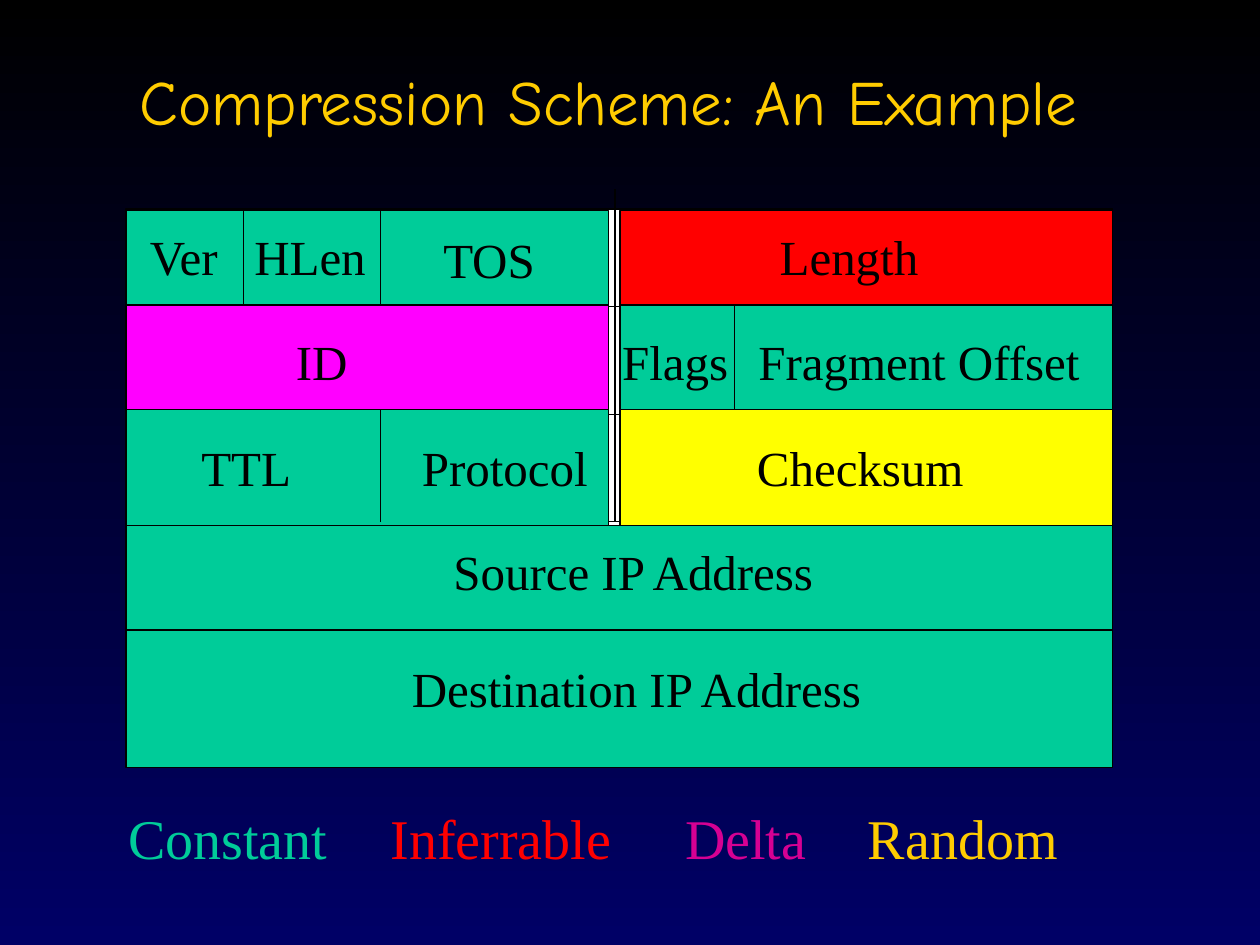
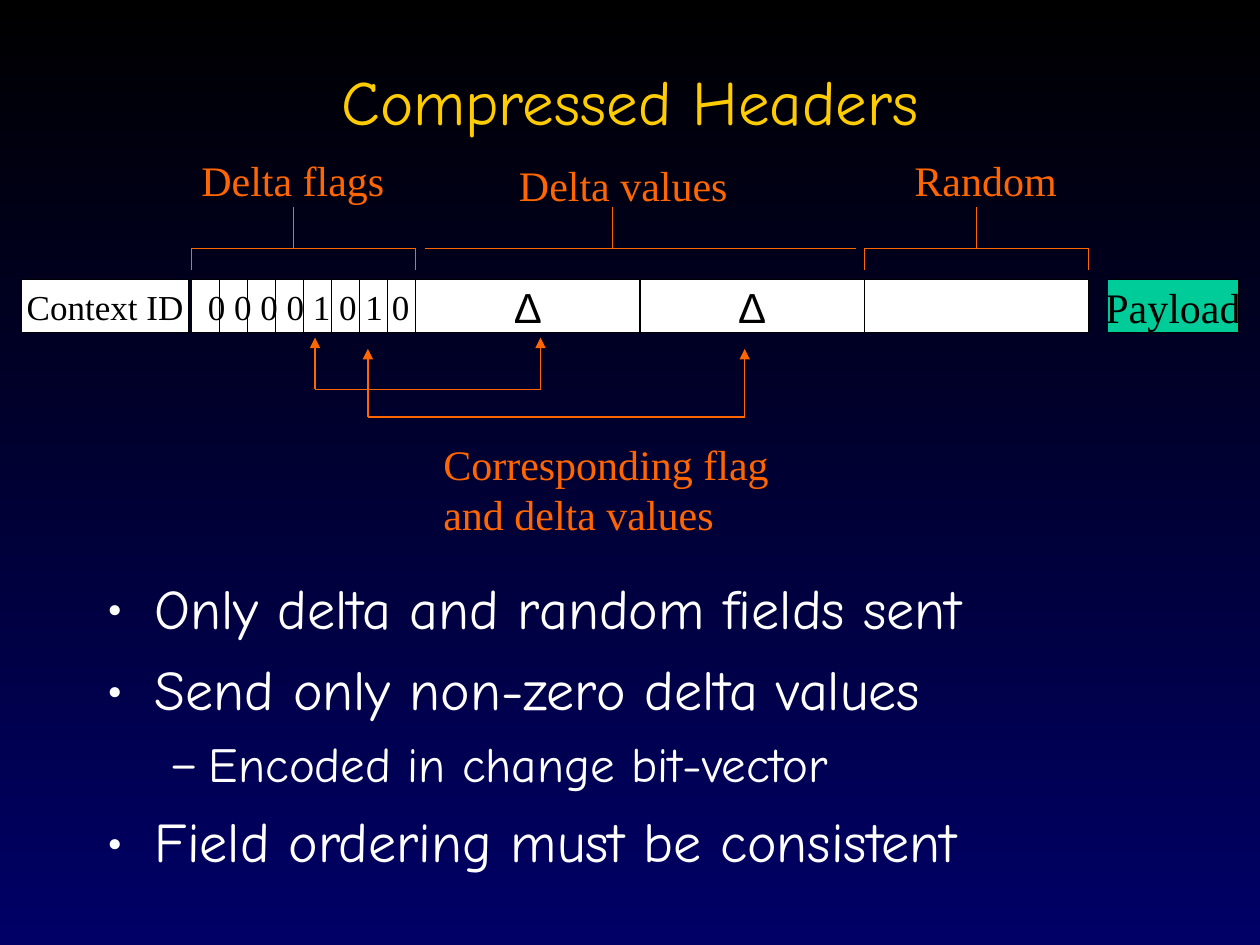
import pptx
import pptx.util
import pptx.dml.color
import pptx.enum.shapes
import pptx.enum.text
import pptx.oxml
import pptx.oxml.ns

Inches, Pt = pptx.util.Inches, pptx.util.Pt
RGB = pptx.dml.color.RGBColor
SHAPE = pptx.enum.shapes.MSO_SHAPE
ALIGN = pptx.enum.text.PP_ALIGN
ANCHOR = pptx.enum.text.MSO_ANCHOR

BLACK, NAVY, WHITE = RGB(0, 0, 0), RGB(0, 0, 0x66), RGB(255, 255, 255)
GOLD, ORANGE = RGB(255, 0xCC, 0), RGB(255, 0x66, 0)
GREEN, RED = RGB(0, 0xCC, 0x99), RGB(255, 0, 0)
MAGENTA, PINK, YELLOW = RGB(255, 0, 255), RGB(0xD6, 0, 0x93), RGB(255, 255, 0)
SERIF, ROUND, SANS = "Times New Roman", "Comic Neue", "Arial"
SLACK = 0.1  # spare label width, so that no label breaks

# IP header: edges of the table, the gap between its halves, the row borders
LEFT, RIGHT = 1, 8.83
LEFT_END, RIGHT_START = 4.83, 4.92
ROWS = [1.67, 2.42, 3.25, 4.17]
RULES = [2.43, 3.29, 4.14, 5]
HALF_FILLS = [(GREEN, RED), (MAGENTA, GREEN), (GREEN, YELLOW)]
DIVIDERS = [(1.93, 0), (3.02, 0), (5.83, 1), (3.02, 2)]  # x, row
FIELDS = [  # text, left, top, width
    ("Ver", 1.09, 1.75, 0.78), ("HLen", 1.92, 1.75, 1.08),
    ("TOS", 3.42, 1.77, 0.93), ("Length", 6.09, 1.75, 1.3),
    ("ID", 2.25, 2.58, 0.61), ("Flags", 4.84, 2.58, 1.04),
    ("Fragment Offset", 5.92, 2.58, 2.75),
    ("TTL", 1.5, 3.42, 0.91), ("Protocol", 3.25, 3.42, 1.51),
    ("Checksum", 5.91, 3.42, 1.84),
    ("Source IP Address", 3.5, 4.25, 3.09),
    ("Destination IP Address", 3.17, 5.18, 3.8),
]
LEGEND = [  # text, left, width, colour
    ("Constant", 0.92, 1.78, GREEN), ("Inferrable", 3, 1.95, RED),
    ("Delta", 5.34, 1.16, PINK), ("Random", 6.79, 1.71, GOLD),
]

# Compressed header: four equal fields in one strip, the first split into bits
STRIP_LEFT, STRIP_TOP, STRIP_H, FIELD_W = 1.52, 2.22, 0.42, 1.78
BITS = 8
STRIP = [
    ("0 0 0 0 1 0 1 0", dict(size=20, align=ALIGN.RIGHT, right=0.05)),
    ("Δ", dict(size=24, font=SANS)), ("Δ", dict(size=24, font=SANS)), ("", {}),
]
BRACKET_Y, STEM_TOP, TICK_END = 1.97, 1.64, 2.14
BRACKETS = [  # label, left, top, width, bracket from, to, stem, ticks
    ("Delta flags", 1.5, 1.18, 1.65, 1.52, 3.3, 2.33, True),
    ("Delta values", 4.02, 1.22, 1.85, 3.37, 6.79, 4.86, False),
    ("Random", 7.16, 1.18, 1.33, 6.86, 8.64, 7.75, True),
]
LINKS = [(2.5, 4.29, 2.68, 3.09), (2.92, 5.91, 2.77, 3.31)]  # flag, value, tip, base
BULLETS = [
    (0, "Only delta and random fields sent"),
    (0, "Send only non-zero delta values"),
    (1, "Encoded in change bit-vector"),
    (0, "Field ordering must be consistent"),
]
LEVELS = [  # mark, size, indent, hanging, space before
    ("•", 32, 0.38, 0.38, 8), ("–", 28, 0.81, 0.31, 7),
]


def put_text(sp, text, size=28, color=BLACK, font=SERIF, align=ALIGN.LEFT,
             anchor=ANCHOR.TOP, wrap=True, right=0.1):
    """Fill a shape with text, one paragraph a line."""
    tf = sp.text_frame
    tf.word_wrap, tf.vertical_anchor = wrap, anchor
    tf.margin_right = Inches(right)
    for i, line in enumerate(text.split("\n")):
        p = tf.add_paragraph() if i else tf.paragraphs[0]
        p.alignment = align
        r = p.add_run()
        r.text = line
        r.font.size, r.font.name, r.font.color.rgb = Pt(size), font, color
    return tf


def add_text(s, text, x, y, w, h, **fmt):
    sp = s.shapes.add_textbox(*map(Inches, (x, y, w, h)))
    return put_text(sp, text, **fmt)


def add_label(s, text, x, y, w, h, **fmt):
    add_text(s, text, x, y, w + SLACK, h, **fmt)


def add_box(s, x, y, w, h, fill, text="", kind=SHAPE.RECTANGLE, **fmt):
    sp = s.shapes.add_shape(kind, *map(Inches, (x, y, w, h)))
    sp.shadow.inherit = False
    sp.fill.solid()
    sp.fill.fore_color.rgb = fill
    sp.line.color.rgb, sp.line.width = BLACK, Pt(0.75)
    if text:
        centred = dict(align=ALIGN.CENTER, anchor=ANCHOR.MIDDLE, wrap=False)
        put_text(sp, text, **{**centred, **fmt})


def add_child(parent, tag, **attrs):
    child = pptx.oxml.parse_xml(f"<{tag} {pptx.oxml.ns.nsdecls('a')}/>")
    for key, value in attrs.items():
        child.set(key, value)
    parent.append(child)
    return child


def add_line(s, x1, y1, x2, y2, color=BLACK, arrow=False):
    c = s.shapes.add_connector(pptx.enum.shapes.MSO_CONNECTOR.STRAIGHT,
                               *map(Inches, (x1, y1, x2, y2)))
    c.line.color.rgb, c.line.width = color, Pt(0.75)
    if arrow:
        add_child(c.line._get_or_add_ln(), "a:tailEnd", type="triangle")
    add_child(c._element.spPr, "a:effectLst")


def new_slide(prs, title, x):
    s = prs.slides.add_slide(prs.slide_layouts[6])
    fill = s.background.fill
    fill.gradient()
    fill.gradient_angle = 270
    for stop, color in zip(fill.gradient_stops, (BLACK, NAVY)):
        stop.color.rgb = color
    add_text(s, title, x, 0.17, 8.5, 1.25, size=36, color=GOLD, font=ROUND,
             align=ALIGN.CENTER, anchor=ANCHOR.MIDDLE)
    return s


def add_bullets(s, items, x, y, w, h):
    tf = add_text(s, "\n".join(text for _, text in items), x, y, w, h,
                  color=WHITE, font=ROUND)
    for i, (p, (level, _)) in enumerate(zip(tf.paragraphs, items)):
        mark, size, indent, hanging, before = LEVELS[level]
        pPr = p._p.get_or_add_pPr()
        pPr.set("marL", str(Inches(indent)))
        pPr.set("indent", str(-Inches(hanging)))
        add_child(add_child(pPr, "a:buClr"), "a:srgbClr", val=str(WHITE))
        add_child(pPr, "a:buFont", typeface=ROUND)
        add_child(pPr, "a:buChar", char=mark)
        p.level = level
        p.runs[0].font.size = Pt(size)
        if i:
            p.space_before = Pt(before)


def build_example(prs):
    s = new_slide(prs, "Compression Scheme: An Example", 0.58)
    add_box(s, LEFT, 1.66, RIGHT - LEFT, 4.42, WHITE)
    add_box(s, LEFT, ROWS[-1], RIGHT - LEFT, 1.92, GREEN)
    for y in RULES:
        add_line(s, LEFT, y, RIGHT, y)
    add_line(s, 4.88, 1.5, 4.88, 4.14)
    for top, bottom, fills in zip(ROWS, ROWS[1:], HALF_FILLS):
        add_box(s, LEFT, top, LEFT_END - LEFT, bottom - top, fills[0])
        add_box(s, RIGHT_START, top, RIGHT - RIGHT_START, bottom - top, fills[1])
    for x, row in DIVIDERS:
        add_line(s, x, ROWS[row], x, min(ROWS[row + 1], RULES[row]))
    for text, x, y, w in FIELDS:
        add_label(s, text, x, y, w, 0.57)
    for text, x, w, color in LEGEND:
        add_label(s, text, x, 6.33, w, 0.64, size=32, color=color)


def build_headers(prs):
    s = new_slide(prs, "Compressed Headers", 0.75)
    add_bullets(s, BULLETS, 0.75, 4.5, 8.5, 2.67)

    for i, (text, fmt) in enumerate(STRIP):
        add_box(s, STRIP_LEFT + i * FIELD_W, STRIP_TOP, FIELD_W, STRIP_H,
                WHITE, text, **fmt)
    for bit in range(1, BITS):
        x = STRIP_LEFT + bit * FIELD_W / BITS
        add_line(s, x, STRIP_TOP, x, STRIP_TOP + STRIP_H)
    add_box(s, 0.17, STRIP_TOP, 1.33, STRIP_H, WHITE, "Context ID", size=20)
    add_box(s, 8.79, STRIP_TOP, 1.04, STRIP_H, GREEN, "Payload", size=24,
            kind=SHAPE.FLOWCHART_PROCESS)

    for text, x, y, w, start, end, stem, ticks in BRACKETS:
        add_line(s, start, BRACKET_Y, end, BRACKET_Y, ORANGE)
        add_line(s, stem, BRACKET_Y, stem, STEM_TOP, ORANGE)
        for tick in (start, end) if ticks else ():
            add_line(s, tick, TICK_END, tick, BRACKET_Y, ORANGE)
        add_label(s, text, x, y, w, 0.5, size=24, color=ORANGE)

    for flag, value, tip, base in LINKS:
        add_line(s, flag, base, value, base, ORANGE)
        for x in (flag, value):
            add_line(s, x, base, x, tip, ORANGE, arrow=True)
    add_label(s, "Corresponding flag\nand delta values", 3.42, 3.43, 2.78, 0.9,
              size=24, color=ORANGE)


def main():
    prs = pptx.Presentation()
    prs.slide_width, prs.slide_height = Inches(10), Inches(7.5)
    build_example(prs)
    build_headers(prs)
    prs.save("out.pptx")


if __name__ == "__main__":
    main()
